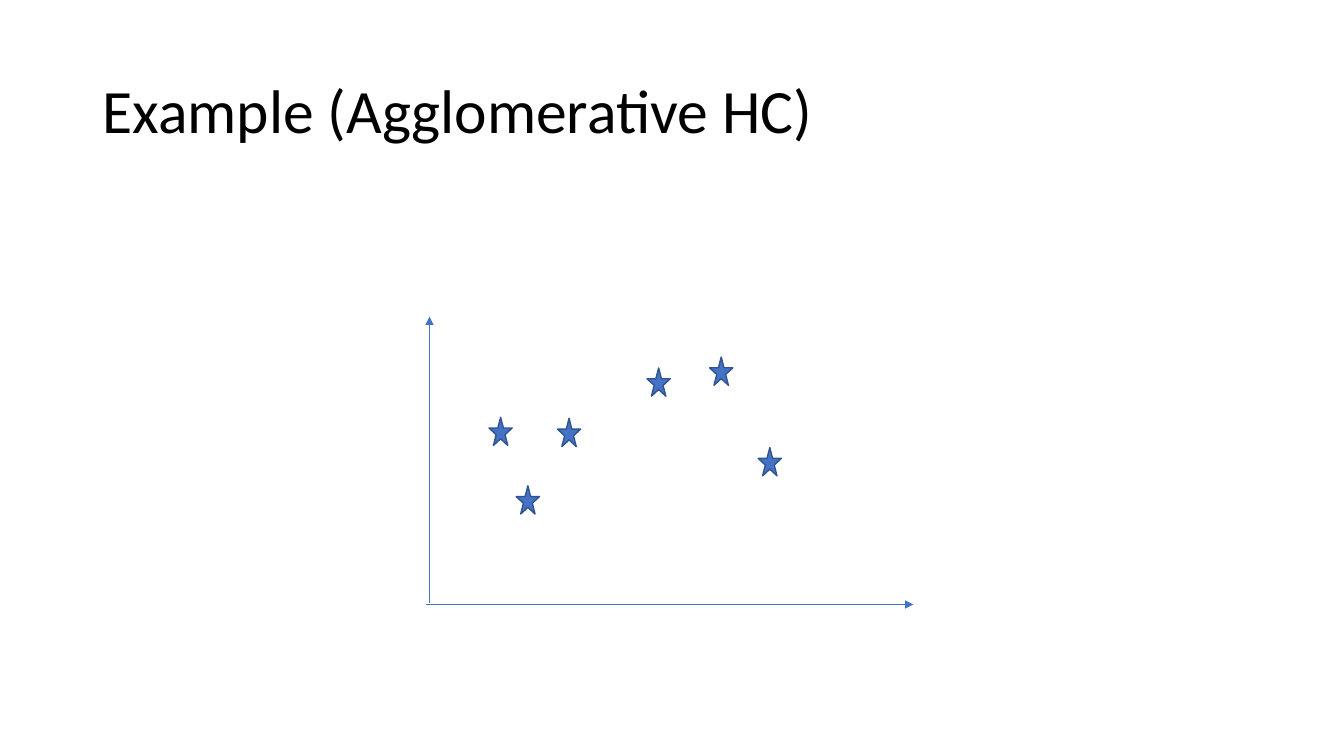
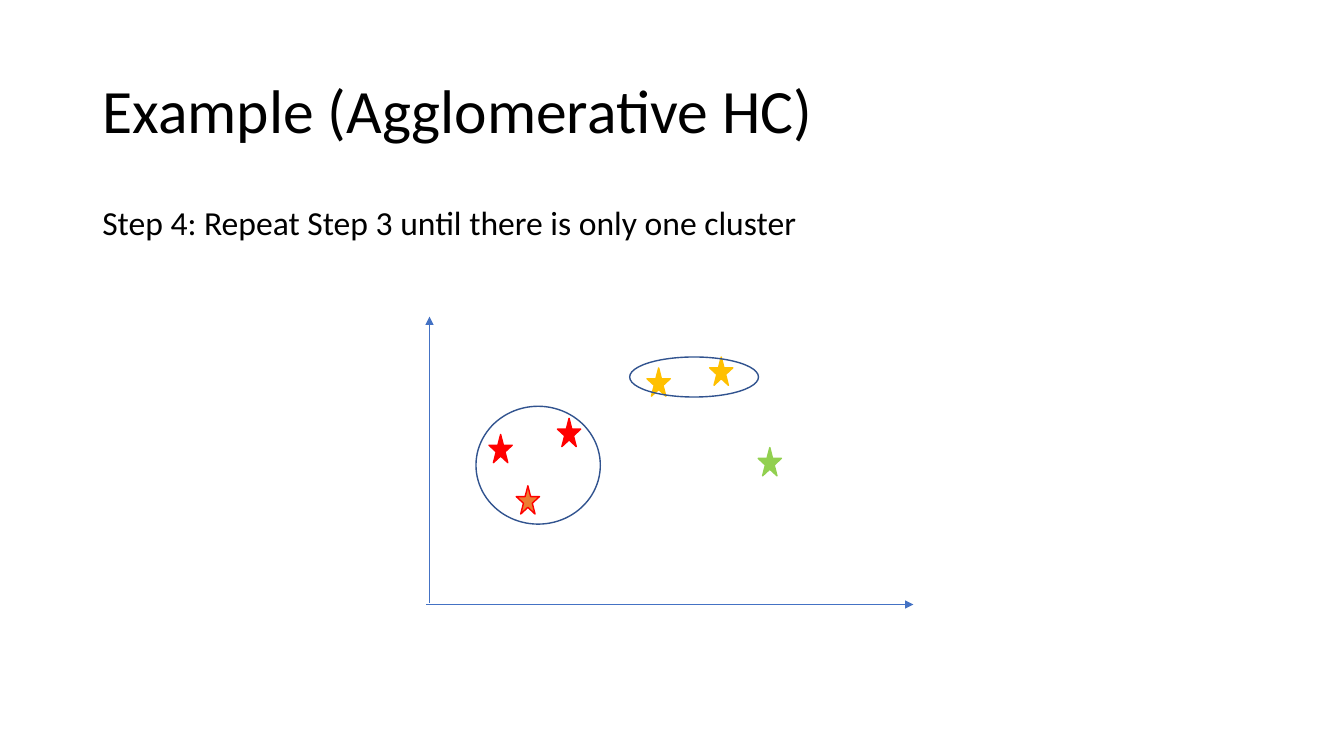
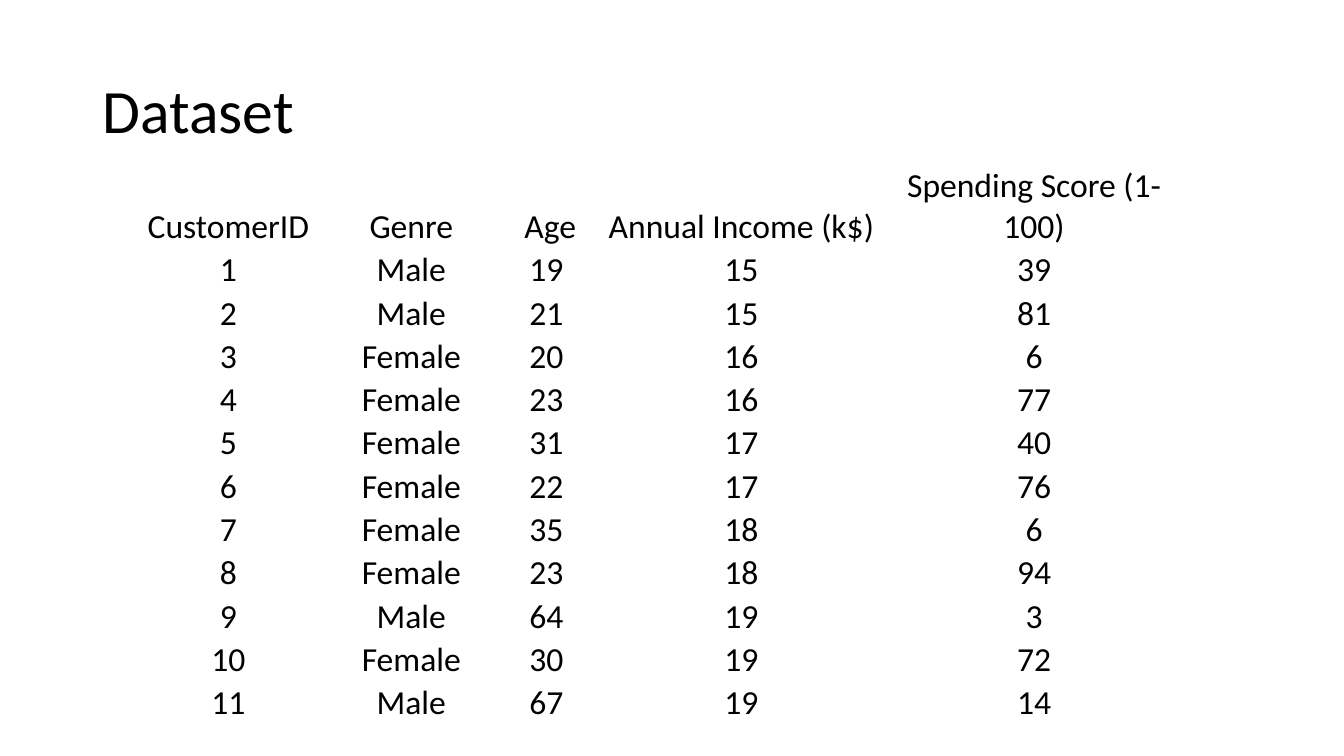
"""Build three slides on agglomerative clustering and its dataset."""
from dataclasses import dataclass

from lxml import etree
from pptx import Presentation
from pptx.dml.color import RGBColor
from pptx.enum import shapes, text
from pptx.oxml import ns
from pptx.util import Pt


@dataclass(frozen=True)
class Theme:
    font: str = "Calibri"
    ink: str = "000000"
    blue: str = "4472C4"
    navy: str = "31538F"
    red: str = "FF0000"
    orange: str = "ED7D31"
    gold: str = "FFC000"
    green: str = "92D050"
    head: int = 44
    body: int = 24
    thin: float = 0.75
    edge: float = 1


T = Theme()
SIZE = 960, 540
TITLE = 66, 28.75, 828, 104.4
NOTE = 66, 108, 828, 104.4
AXES = [(304.6, 431.8, 652.4, 431.8), (306.8, 430.6, 306.8, 226.1)]
STAR = 16.6, 20.2
GRID = 86.4, 115.2
COLS = [153.4, 108, 85, 193.6, 224.6]
ROW = 30.9

NAME = "Example (Agglomerative HC)"
STEP = "Step 4: Repeat Step 3 until there is only one cluster"
SPOTS = [(349.3, 298), (368.8, 347), (398.2, 298.8),
         (462.2, 262.8), (506.9, 255), (541.6, 319.7)]
MOVED = [(349.3, 310.3)] + SPOTS[1:]
PLAIN = [(T.blue, T.navy)] * len(SPOTS)
GROUPS = [(T.red, T.red), (T.orange, T.red), (T.red, T.red),
          (T.gold, T.gold), (T.gold, T.gold), (T.green, T.green)]
RINGS = [(449.8, 255, 92, 28.6), (340, 290.2, 88.8, 84.2)]
HEADS = ["CustomerID", "Genre", " Age", "Annual Income (k$)",
         "Spending Score (1-100)"]
DATA = [
    (1, "Male", 19, 15, 39),
    (2, "Male", 21, 15, 81),
    (3, "Female", 20, 16, 6),
    (4, "Female", 23, 16, 77),
    (5, "Female", 31, 17, 40),
    (6, "Female", 22, 17, 76),
    (7, "Female", 35, 18, 6),
    (8, "Female", 23, 18, 94),
    (9, "Male", 64, 19, 3),
    (10, "Female", 30, 19, 72),
    (11, "Male", 67, 19, 14),
]


def pts(vals):
    return [Pt(v) for v in vals]


def style(para, size, align):
    para.alignment = align
    para.font.name = T.font
    para.font.size = Pt(size)
    para.font.color.rgb = RGBColor.from_string(T.ink)


def write(shape, words, box, size):
    shape.left, shape.top, shape.width, shape.height = pts(box)
    frame = shape.text_frame
    frame.text = words
    frame.word_wrap = True
    frame.auto_size = text.MSO_AUTO_SIZE.NONE
    frame.vertical_anchor = text.MSO_ANCHOR.MIDDLE
    para = frame.paragraphs[0]
    para.line_spacing = 0.9
    style(para, size, text.PP_ALIGN.LEFT)


def start(deck, title):
    slide = deck.slides.add_slide(deck.slide_layouts[5])
    write(slide.shapes.title, title, TITLE, T.head)
    return slide


def mark(slide, kind, box, line, fill=None):
    shape = slide.shapes.add_shape(kind, *pts(box))
    shape.shadow.inherit = False
    if fill:
        shape.fill.solid()
        shape.fill.fore_color.rgb = RGBColor.from_string(fill)
    else:
        shape.fill.background()
    shape.line.color.rgb = RGBColor.from_string(line)
    shape.line.width = Pt(T.edge)


def axis(slide, ends):
    line = slide.shapes.add_connector(shapes.MSO_CONNECTOR.STRAIGHT, *pts(ends))
    line.line.color.rgb = RGBColor.from_string(T.blue)
    line.line.width = Pt(T.thin)
    etree.SubElement(line.line._get_or_add_ln(), ns.qn("a:tailEnd"), type="triangle")
    etree.SubElement(line._element.spPr, ns.qn("a:effectLst"))


def plot(slide, spots, tints):
    for ends in AXES:
        axis(slide, ends)
    for spot, (fill, line) in zip(spots, tints):
        mark(slide, shapes.MSO_SHAPE.STAR_5_POINT, spot + STAR, line, fill)


def table(slide):
    rows = [HEADS] + DATA
    highs = [2 * ROW] + [ROW] * len(DATA)
    grid = slide.shapes.add_table(
        len(rows), len(COLS), *pts(GRID + (sum(COLS), sum(highs)))).table
    grid.first_row = grid.horz_banding = False
    for col, wide in zip(grid.columns, COLS):
        col.width = Pt(wide)
    for row, high, vals in zip(grid.rows, highs, rows):
        row.height = Pt(high)
        for cell, val in zip(row.cells, vals):
            cell.text = str(val)
            cell.fill.background()
            cell.vertical_anchor = text.MSO_ANCHOR.BOTTOM
            cell.margin_left = cell.margin_right = cell.margin_top = Pt(0.75)
            cell.margin_bottom = Pt(0)
            style(cell.text_frame.paragraphs[0], T.body, text.PP_ALIGN.CENTER)


def main():
    deck = Presentation()
    deck.slide_width, deck.slide_height = pts(SIZE)
    plot(start(deck, NAME), SPOTS, PLAIN)
    slide = start(deck, NAME)
    plot(slide, MOVED, GROUPS)
    write(slide.shapes.add_textbox(*pts(NOTE)), STEP, NOTE, T.body)
    for ring in RINGS:
        mark(slide, shapes.MSO_SHAPE.OVAL, ring, T.navy)
    table(start(deck, "Dataset"))
    deck.save("out.pptx")


if __name__ == "__main__":
    main()
